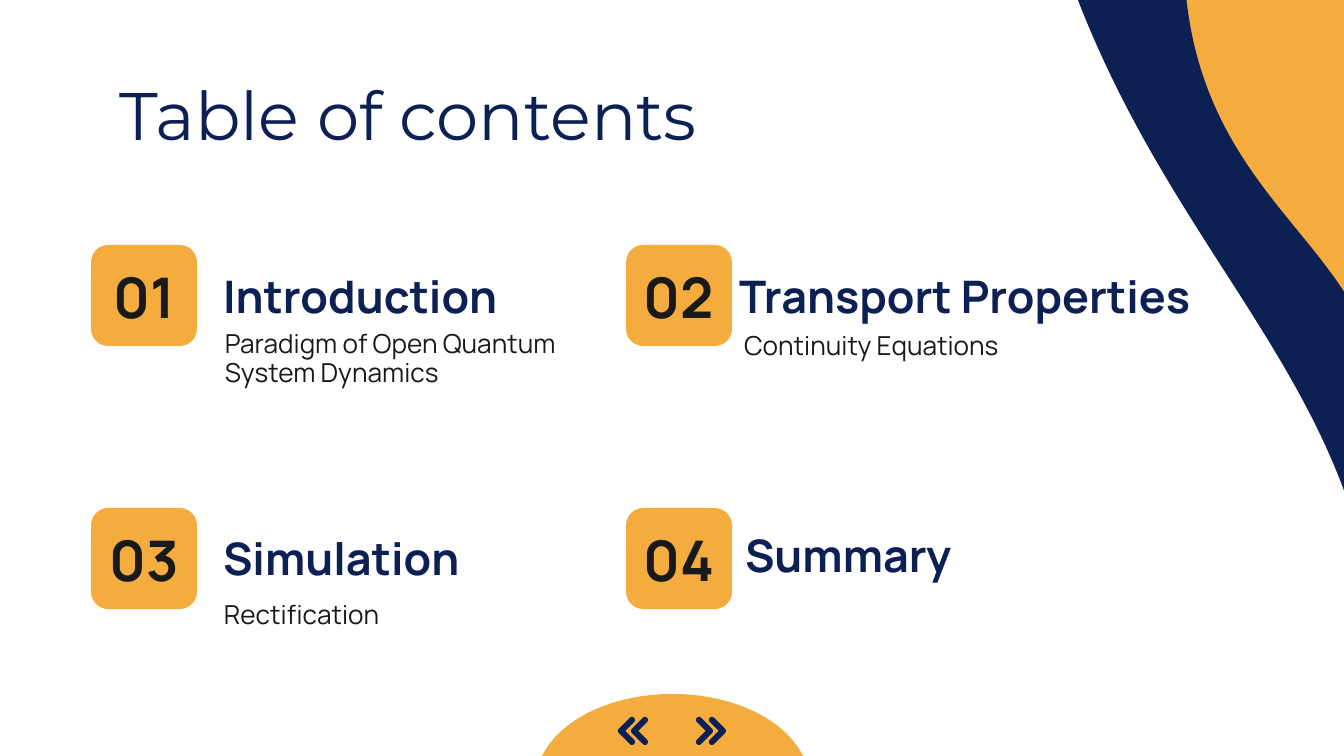
import math

import pptx
import pptx.dml.color
import pptx.enum.shapes
import pptx.enum.text
import pptx.util

RGBColor = pptx.dml.color.RGBColor
SHAPES = pptx.enum.shapes.MSO_SHAPE
ALIGN = pptx.enum.text.PP_ALIGN

NAVY = RGBColor(0x0C, 0x20, 0x54)
ORANGE = RGBColor(0xF3, 0xAC, 0x3D)
WHITE = RGBColor(0xFF, 0xFF, 0xFF)
INK = RGBColor(0x19, 0x19, 0x19)

WIDTH, HEIGHT = 1344, 756
SCALE = 9144000 / WIDTH
INSET = 13
CARD_WIDTH, CARD_HEIGHT = 106, 101
COLUMNS = (91, 626)
ROWS = (245, 508)

SECTIONS = [
    ("Introduction", (119, 12, 395, 78), "Paradigm of Open Quantum System Dynamics", (121, 79, 403, 71)),
    ("Transport Properties", (100, 12, 515, 78), "Continuity Equations", (105, 67, 491, 71)),
    ("Simulation", (119, 11, 395, 78), "Rectification", (120, 73, 403, 71)),
    ("Summary", (106, 8, 395, 78), None, None),
]


def px(length):
    return pptx.util.Emu(round(length * SCALE))


def place(left, top, box):
    return left + box[0], top + box[1], box[2], box[3]


def paint(shape, color):
    shape.fill.solid()
    shape.fill.fore_color.rgb = color
    shape.line.fill.background()
    shape.shadow.inherit = False
    return shape


def add_block(slide, preset, box, color, rotation=0):
    shape = slide.shapes.add_shape(preset, *map(px, box))
    shape.rotation = rotation
    return paint(shape, color)


def write_text(shape, text, size, color, font="Manrope", bold=False, align=ALIGN.LEFT, spacing=1.0):
    frame = shape.text_frame
    frame.word_wrap = True
    frame.auto_size = pptx.enum.text.MSO_AUTO_SIZE.NONE
    frame.vertical_anchor = pptx.enum.text.MSO_ANCHOR.MIDDLE
    frame.margin_left = frame.margin_right = px(INSET)
    frame.margin_top = frame.margin_bottom = px(INSET)
    paragraph = frame.paragraphs[0]
    paragraph.alignment = align
    paragraph.line_spacing = spacing
    run = paragraph.add_run()
    run.text = text
    run.font.name = font
    run.font.size = pptx.util.Pt(size)
    run.font.bold = bold
    run.font.color.rgb = color


def add_text(slide, box, text, **text_format):
    write_text(slide.shapes.add_textbox(*map(px, box)), text, **text_format)


def add_background(slide):
    slide.background.fill.solid()
    slide.background.fill.fore_color.rgb = ORANGE
    add_block(slide, SHAPES.FLOWCHART_DOCUMENT, (626, -184, 586, 931), NAVY, 267)
    add_block(slide, SHAPES.FLOWCHART_DOCUMENT, (-75, -368, 1361, 1535), WHITE, 264.8)


def add_title(slide, box):
    title = slide.shapes.title
    title.left, title.top, title.width, title.height = map(px, box)
    write_text(title, "Table of contents", size=36, color=NAVY, font="Montserrat")


def add_section(slide, left, top, number, section):
    heading, heading_box, description, description_box = section
    card = add_block(slide, SHAPES.ROUNDED_RECTANGLE, (left, top, CARD_WIDTH, CARD_HEIGHT), ORANGE)
    card.adjustments[0] = 0.17
    add_text(slide, place(left, top, (-2, 12, 110, 78)), f"{number:02d}",
             size=30, color=INK, bold=True, align=ALIGN.CENTER)
    add_text(slide, place(left, top, heading_box), heading, size=24, color=NAVY, bold=True)
    if description:
        add_text(slide, place(left, top, description_box), description, size=14, color=INK, spacing=0.9)


def arc(center_x, center_y, radius, start, end):
    return [(center_x + radius * math.cos(math.radians(angle)),
             center_y + radius * math.sin(math.radians(angle)))
            for angle in range(start, end + 1, 15)]


def add_chevron(slide, left, top, width, height, mirrored):
    radius = 3
    middle = height / 2
    apex = width - radius
    outline = (arc(radius, radius, radius, 135, 315)
               + arc(apex, middle, radius, -45, 45)
               + arc(radius, height - radius, radius, 45, 225)
               + [(apex - radius * math.sqrt(2), middle)])
    points = [(px(left + (width - x if mirrored else x)), px(top + y)) for x, y in outline]
    builder = slide.shapes.build_freeform(*points[0])
    builder.add_line_segments(points[1:], close=True)
    paint(builder.convert_to_shape(), NAVY)


def add_navigation(slide, left, top, width, height):
    dome = add_block(slide, SHAPES.PIE, (left, top, width, height), ORANGE)
    dome.adjustments[0] = 108
    dome.adjustments[1] = 0
    for offset, mirrored in ((82, True), (95, True), (160, False), (173, False)):
        add_chevron(slide, left + offset, top + 23, 17, 28, mirrored)


def main():
    presentation = pptx.Presentation()
    presentation.slide_width = px(WIDTH)
    presentation.slide_height = px(HEIGHT)
    slide = presentation.slides.add_slide(presentation.slide_layouts[5])
    add_background(slide)
    title_element = slide.shapes.title.element
    slide.shapes.element.append(title_element)
    add_title(slide, (106, 78, 1133, 71))
    for index, section in enumerate(SECTIONS):
        row, column = divmod(index, len(COLUMNS))
        add_section(slide, COLUMNS[column], ROWS[row], index + 1, section)
    add_navigation(slide, 536, 694, 273, 176)
    presentation.save("out.pptx")


if __name__ == "__main__":
    main()
